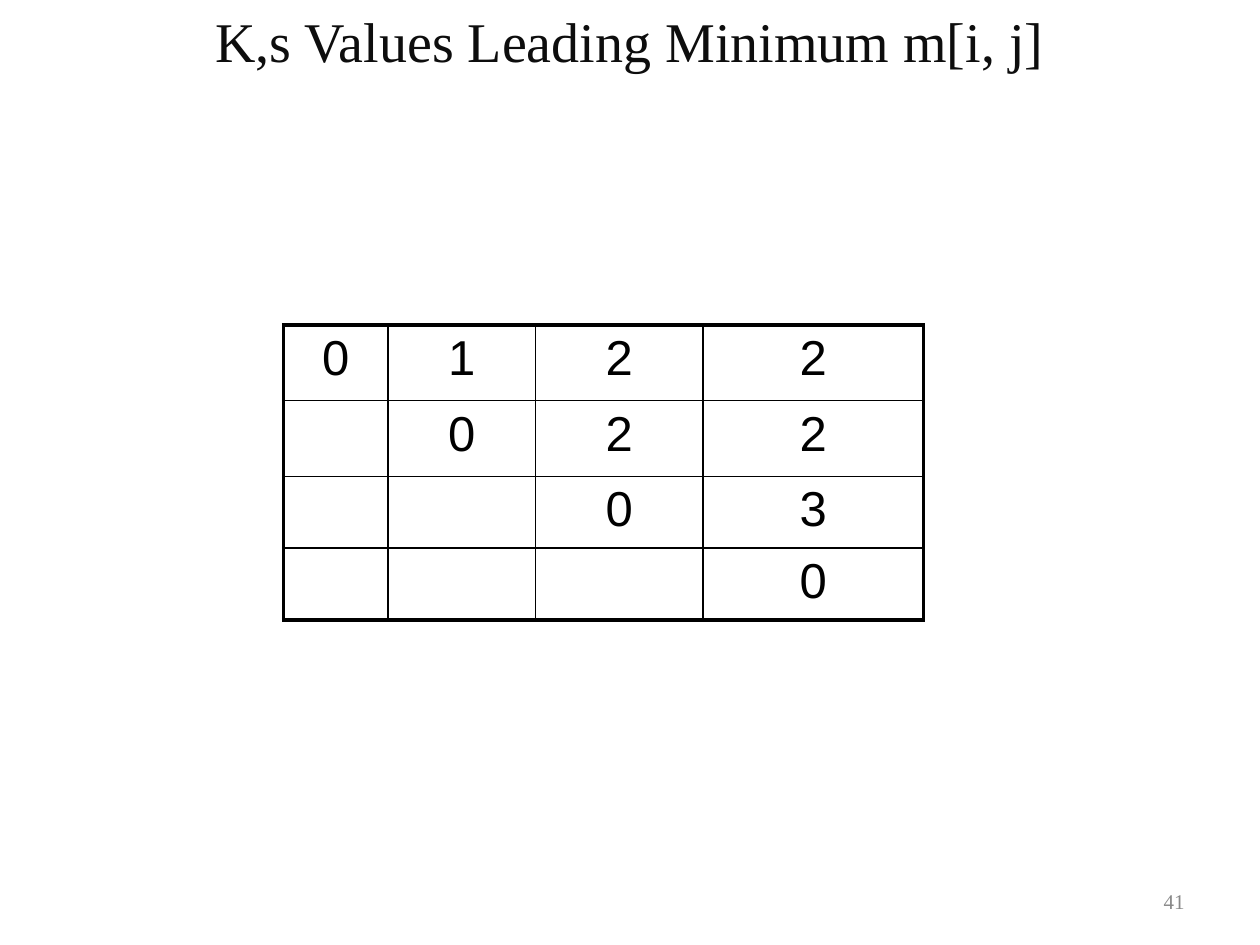
from dataclasses import dataclass

from lxml import etree
from pptx import Presentation
from pptx.dml.color import RGBColor
from pptx.enum.text import MSO_ANCHOR, PP_ALIGN
from pptx.oxml.ns import qn
from pptx.util import Inches, Pt

CENTER, RIGHT = PP_ALIGN.CENTER, PP_ALIGN.RIGHT
TOP, MIDDLE = MSO_ANCHOR.TOP, MSO_ANCHOR.MIDDLE


@dataclass(frozen=True)
class Theme:
    title_font: str = "Times New Roman"
    table_font: str = "Arial"
    title_color: str = "0D0D0D"
    table_color: str = "000000"
    number_color: str = "898989"
    title_size: float = 32
    table_size: float = 28
    number_size: float = 12
    inner_line: float = 1
    outer_line: float = 2.25


def write_text(frame, text, *, font, size, color, align):
    paragraph = frame.paragraphs[0]
    paragraph.alignment = align
    run = paragraph.add_run()
    run.text = text
    run.font.name = font
    run.font.size = Pt(size)
    run.font.color.rgb = RGBColor.from_string(color)


class SlideBuilder:
    """Adds styled elements to one slide."""

    def __init__(self, slide, theme):
        self.slide = slide
        self.theme = theme

    def add_text(self, text, left, top, width, height, anchor=TOP, **text_format):
        shape = self.slide.shapes.add_textbox(
            Inches(left), Inches(top), Inches(width), Inches(height))
        shape.text_frame.word_wrap = True
        shape.text_frame.vertical_anchor = anchor
        write_text(shape.text_frame, text, **text_format)

    def add_border(self, cell, side, width):
        properties = cell._tc.get_or_add_tcPr()
        line = etree.SubElement(properties, qn(f"a:ln{side}"), w=str(Pt(width)))
        fill = etree.SubElement(line, qn("a:solidFill"))
        etree.SubElement(fill, qn("a:srgbClr"), val=self.theme.table_color)

    def add_table(self, values, left, top, column_widths, row_heights):
        theme = self.theme
        last_row, last_column = len(row_heights) - 1, len(column_widths) - 1
        table = self.slide.shapes.add_table(
            len(row_heights), len(column_widths), Inches(left), Inches(top),
            Inches(sum(column_widths)), Inches(sum(row_heights))).table
        table.first_row = table.horz_banding = False
        for column, width in zip(table.columns, column_widths):
            column.width = Inches(width)
        for row, height in zip(table.rows, row_heights):
            row.height = Inches(height)
        for row_index, row_values in enumerate(values):
            for column_index, value in enumerate(row_values):
                cell = table.cell(row_index, column_index)
                outer_sides = {
                    "L": column_index == 0, "R": column_index == last_column,
                    "T": row_index == 0, "B": row_index == last_row}
                for side, is_outer in outer_sides.items():
                    self.add_border(
                        cell, side, theme.outer_line if is_outer else theme.inner_line)
                cell.fill.background()
                if value:
                    write_text(cell.text_frame, value, font=theme.table_font,
                               size=theme.table_size, color=theme.table_color,
                               align=CENTER)


def main():
    presentation = Presentation()
    presentation.slide_width, presentation.slide_height = Inches(10), Inches(7.5)
    theme = Theme()
    builder = SlideBuilder(
        presentation.slides.add_slide(presentation.slide_layouts[6]), theme)
    builder.add_text("41", 7.17, 6.95, 2.33, 0.4, anchor=MIDDLE,
                     font=theme.title_font, size=theme.number_size,
                     color=theme.number_color, align=RIGHT)
    split_values = [
        ["0", "1", "2", "2"],
        ["", "0", "2", "2"],
        ["", "", "0", "3"],
        ["", "", "", "0"],
    ]
    builder.add_table(split_values, 2.25, 2.58,
                      column_widths=[0.83, 1.17, 1.33, 1.75],
                      row_heights=[0.6, 0.6, 0.57, 0.57])
    builder.add_text("K,s Values Leading Minimum m[i, j]", 0, 0, 10, 0.63,
                     font=theme.title_font, size=theme.title_size,
                     color=theme.title_color, align=CENTER)
    presentation.save("out.pptx")


if __name__ == "__main__":
    main()
